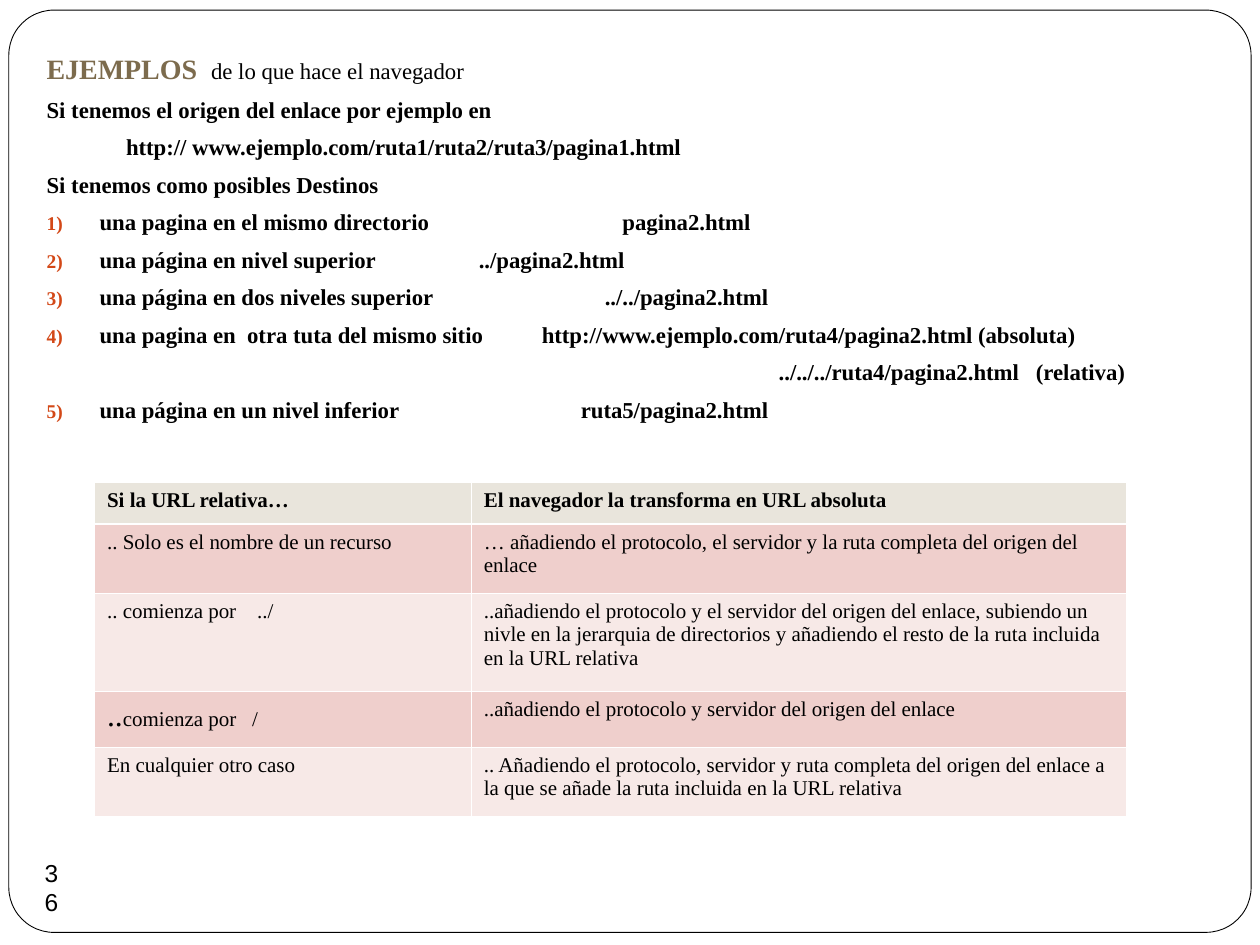
from lxml.etree import SubElement
from pptx import Presentation
from pptx.dml.color import RGBColor
from pptx.enum.shapes import MSO_SHAPE as Shape
from pptx.enum.text import MSO_ANCHOR as Anchor, MSO_AUTO_SIZE as AutoSize, PP_ALIGN as Align
from pptx.oxml.ns import qn
from pptx.util import Inches, Pt

BLACK = RGBColor(0, 0, 0)
WHITE = RGBColor(255, 255, 255)
BROWN = RGBColor(0x7C, 0x6B, 0x4D)
ORANGE = RGBColor(0xD3, 0x48, 0x17)
SAND = RGBColor(0xE9, 0xE5, 0xDC)
PINK = RGBColor(0xEF, 0xCF, 0xCC)
PALE = RGBColor(0xF7, 0xE9, 0xE7)
SERIF = "Times New Roman"
INDENT, HANGING = 0.49, 0.42

HEADING = [("EJEMPLOS  ", 16, BROWN, True), ("de lo que hace el navegador", 13, BLACK, False)]
# text, left indent, list number, tab stop
LINES = [
    ("Si tenemos el origen del enlace por ejemplo en", None, None, None),
    ("http:// www.ejemplo.com/ruta1/ruta2/ruta3/pagina1.html", 0.7, None, None),
    ("Si tenemos como posibles Destinos", None, None, None),
    ("una pagina en el mismo directorio\tpagina2.html", None, 1, 4.64),
    ("una página en nivel superior\t../pagina2.html", None, 1, 3.5),
    ("una página en dos niveles superior\t../../pagina2.html", None, 1, 4.5),
    ("una pagina en  otra tuta del mismo sitio\t"
     "http://www.ejemplo.com/ruta4/pagina2.html (absoluta)", None, 1, 3.4),
    ("../../../ruta4/pagina2.html   (relativa)", 5.88, None, None),
    ("una página en un nivel inferior\truta5/pagina2.html", None, 5, 4.31),
]
ROWS = [
    ("Si la URL relativa…", "El navegador la transforma en URL absoluta"),
    (".. Solo es el nombre de un recurso",
     "… añadiendo el protocolo, el servidor y la ruta completa del origen del enlace"),
    (".. comienza por    ../",
     "..añadiendo el protocolo y el servidor del origen del enlace, subiendo un nivle en la "
     "jerarquia de directorios y añadiendo el resto de la ruta incluida en la URL relativa"),
    ("..comienza por   /", "..añadiendo el protocolo y servidor del origen del enlace"),
    ("En cualquier otro caso",
     ".. Añadiendo el protocolo, servidor y ruta completa del origen del enlace a la que se "
     "añade la ruta incluida en la URL relativa"),
]
COLUMN_WIDTHS = [2.99, 5.2]
ROW_HEIGHTS = [0.33, 0.55, 0.78, 0.44, 0.55]
LARGE_DOTS_ROW = 3


def set_font(font, size, color=BLACK, bold=False, name=SERIF):
    font.name, font.size, font.bold = name, Pt(size), bold
    font.color.rgb = color


def add_span(para, text, size, color=BLACK, bold=False):
    span = para.add_run()
    span.text = text
    set_font(span.font, size, color, bold)


def format_line(para, left=None, number=None, tab=None):
    props = para._p.get_or_add_pPr()
    props.set("marL", str(Inches(INDENT if left is None else left)))
    props.set("indent", str(Inches(-HANGING if left is None else 0)))
    para.space_before = Pt(5.8)
    if number:
        color = SubElement(props, qn("a:buClr"))
        SubElement(color, qn("a:srgbClr"), val=str(ORANGE))
        SubElement(props, qn("a:buSzPct"), val="85000")
        SubElement(props, qn("a:buAutoNum"), type="arabicParenR", startAt=str(number))
    else:
        SubElement(props, qn("a:buNone"))
    if tab:
        stops = SubElement(props, qn("a:tabLst"))
        SubElement(stops, qn("a:tab"), pos=str(Inches(tab)), algn="l")


def set_borders(cell, widths):
    props = cell._tc.get_or_add_tcPr()
    for position, (side, width) in enumerate(widths.items()):
        line = SubElement(props, qn(f"a:ln{side}"), w=str(Pt(width)))
        fill = SubElement(line, qn("a:solidFill"))
        SubElement(fill, qn("a:srgbClr"), val=str(WHITE))
        props.insert(position, line)


def add_frame(page):
    frame = page.shapes.add_shape(Shape.ROUNDED_RECTANGLE, Inches(0.07), Inches(0.08),
                                  Inches(9.86), Inches(7.32))
    frame.adjustments[0] = 0.049
    frame.shadow.inherit = False
    frame.fill.solid()
    frame.fill.fore_color.rgb = WHITE
    frame.line.color.rgb = BLACK
    frame.line.width = Pt(0.5)
    page.shapes._spTree.insert(2, frame._element)


def add_page_number(page):
    badge = page.shapes.add_shape(Shape.OVAL, Inches(0.16), Inches(6.79), Inches(0.5), Inches(0.5))
    badge.shadow.inherit = False
    badge.fill.background()
    badge.line.fill.background()
    badge.text_frame.word_wrap = True
    badge.text_frame.vertical_anchor = Anchor.MIDDLE
    para = badge.text_frame.paragraphs[0]
    para.text = "36"
    para.alignment = Align.CENTER
    set_font(para.font, 14, name="Arial")


def fill_body(body):
    body.left, body.top, body.width, body.height = map(Inches, (0.2, 0.36, 9.37, 6.61))
    frame = body.text_frame
    frame.word_wrap = True
    frame.auto_size = AutoSize.NONE
    frame.vertical_anchor = Anchor.TOP
    heading = frame.paragraphs[0]
    format_line(heading)
    heading.space_before = Pt(0)
    for part in HEADING:
        add_span(heading, *part)
    for text, left, number, tab in LINES:
        para = frame.add_paragraph()
        para.text = text
        format_line(para, left, number, tab)
        set_font(para.font, 13, bold=True)


def add_url_table(page):
    table = page.shapes.add_table(len(ROWS), len(COLUMN_WIDTHS), Inches(0.75), Inches(3.83),
                                  Inches(sum(COLUMN_WIDTHS)), Inches(sum(ROW_HEIGHTS))).table
    for column, width in zip(table.columns, COLUMN_WIDTHS):
        column.width = Inches(width)
    for index, (texts, height) in enumerate(zip(ROWS, ROW_HEIGHTS)):
        table.rows[index].height = Inches(height)
        for column, text in enumerate(texts):
            cell = table.cell(index, column)
            cell.fill.solid()
            cell.fill.fore_color.rgb = SAND if index == 0 else PINK if index % 2 else PALE
            set_borders(cell, {"L": 0.45, "R": 0.45, "T": 1.47 if index == 1 else 0.45,
                               "B": 1.47 if index == 0 else 0.45})
            para = cell.text_frame.paragraphs[0]
            if index == LARGE_DOTS_ROW and column == 0:
                add_span(para, text[:2], 18)
                add_span(para, text[2:], 12)
            else:
                para.text = text
                set_font(para.font, 12, bold=index == 0)


def main():
    deck = Presentation()
    deck.slide_width, deck.slide_height = Inches(10), Inches(7.5)
    page = deck.slides.add_slide(deck.slide_layouts[1])
    title, body = page.placeholders
    title._element.getparent().remove(title._element)
    add_frame(page)
    add_page_number(page)
    fill_body(body)
    add_url_table(page)
    deck.save("out.pptx")


if __name__ == "__main__":
    main()
